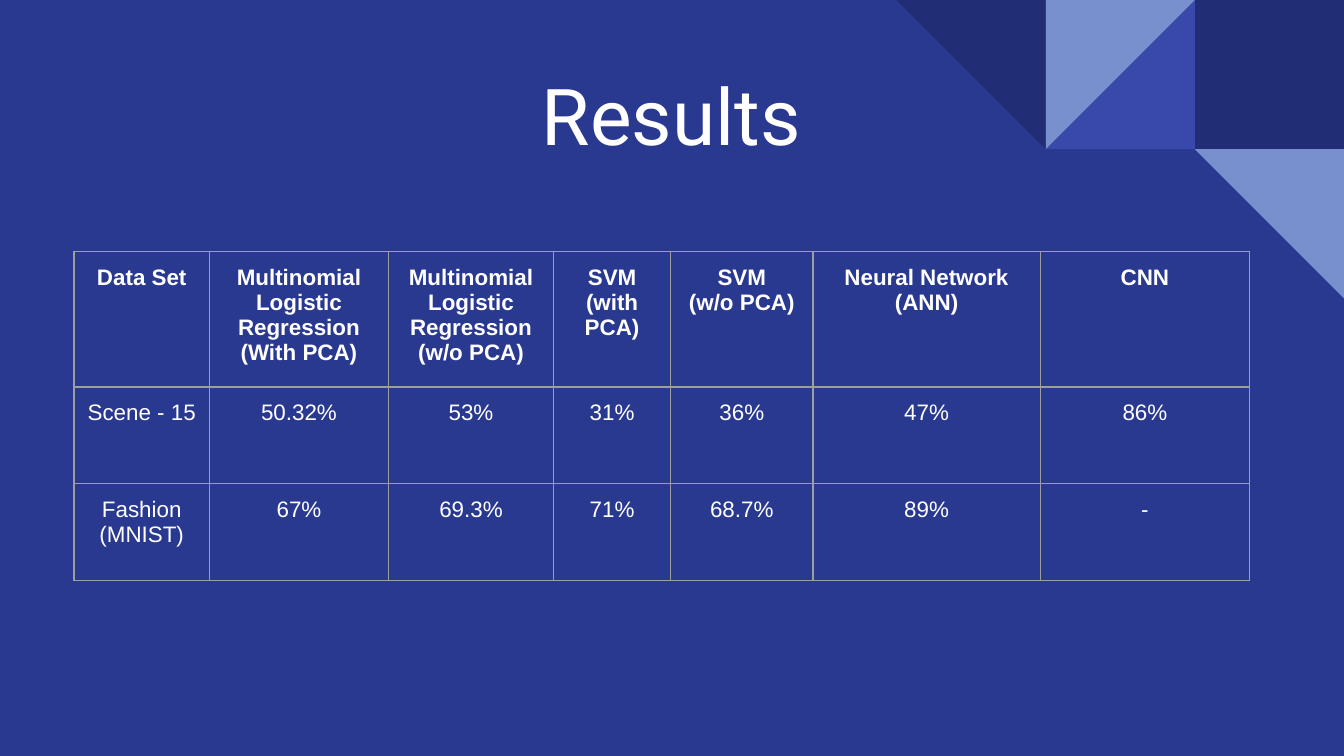
from lxml import etree
from pptx import Presentation
from pptx.dml.color import RGBColor
from pptx.enum.shapes import MSO_SHAPE
from pptx.enum.text import MSO_ANCHOR, PP_ALIGN
from pptx.oxml.ns import qn
from pptx.util import Inches, Pt

SQUARE = MSO_SHAPE.RECTANGLE
TRIANGLE = MSO_SHAPE.RIGHT_TRIANGLE
CENTER = PP_ALIGN.CENTER
MIDDLE = MSO_ANCHOR.MIDDLE
TOP = MSO_ANCHOR.TOP
TITLE_ONLY = 5

COLORS = {
    "background": "2A3990",
    "navy": "212D74",
    "indigo": "3949AB",
    "sky": "7890CD",
    "border": "9E9E9E",
    "text": "FFFFFF",
}

MOSAIC = [
    (2, 0, SQUARE, 0, "navy"),
    (1, 0, TRIANGLE, 270, "indigo"),
    (1, 0, TRIANGLE, 90, "sky"),
    (0, 0, TRIANGLE, 180, "navy"),
    (2, 1, TRIANGLE, 180, "sky"),
]

COLUMN_WIDTHS = [1.01, 1.33, 1.23, 0.87, 1.06, 1.69, 1.56]
ROW_HEIGHTS = [1.01, 0.72, 0.72]
RESULTS = [
    ["Data Set", "Multinomial Logistic Regression\n(With PCA)",
     "Multinomial Logistic Regression\n(w/o PCA)", "SVM\n(with PCA)",
     "SVM\n(w/o PCA)", "Neural Network\n(ANN)", "CNN"],
    ["Scene - 15", "50.32%", "53%", "31%", "36%", "47%", "86%"],
    ["Fashion\n(MNIST)", "67%", "69.3%", "71%", "68.7%", "89%", "-"],
]


def color(name):
    """Return the named palette colour."""
    return RGBColor.from_string(COLORS[name])


def format_text(frame, font, size, bold=False):
    """Centre the paragraphs of a text frame and format their runs."""
    for para in frame.paragraphs:
        para.alignment = CENTER
        for span in para.runs:
            span.font.name = font
            span.font.size = Pt(size)
            span.font.bold = bold
            span.font.color.rgb = color("text")


def set_borders(cell, name, width):
    """Draw a solid line on all four sides of a table cell."""
    properties = cell._tc.get_or_add_tcPr()
    for side in ("a:lnL", "a:lnR", "a:lnT", "a:lnB"):
        line = etree.SubElement(properties, qn(side), w=str(Pt(width)))
        fill = etree.SubElement(line, qn("a:solidFill"))
        etree.SubElement(fill, qn("a:srgbClr"), val=COLORS[name])


def add_mosaic(page, left, top, size):
    """Place the corner mosaic on a grid of squares of the given size."""
    for column, row, kind, rotation, name in MOSAIC:
        tile = page.shapes.add_shape(
            kind, Inches(left + column * size), Inches(top + row * size),
            Inches(size), Inches(size))
        tile.rotation = rotation
        tile.shadow.inherit = False
        tile.fill.solid()
        tile.fill.fore_color.rgb = color(name)
        tile.line.fill.background()


def add_title(page, text, left, top, width, height):
    """Move the title placeholder into its box and format it."""
    title = page.shapes.title
    title.left, title.top = Inches(left), Inches(top)
    title.width, title.height = Inches(width), Inches(height)
    frame = title.text_frame
    frame.text = text
    frame.word_wrap = True
    frame.vertical_anchor = MIDDLE
    frame.margin_left = frame.margin_right = Inches(0.1)
    frame.margin_top = frame.margin_bottom = Inches(0.1)
    format_text(frame, "Roboto", 42)


def add_results_table(page, left, top):
    """Place the accuracy table with its top left corner at the given point."""
    table = page.shapes.add_table(
        len(ROW_HEIGHTS), len(COLUMN_WIDTHS), Inches(left), Inches(top),
        Inches(sum(COLUMN_WIDTHS)), Inches(sum(ROW_HEIGHTS))).table
    table.first_row = False
    table.horz_banding = False
    for column, width in zip(table.columns, COLUMN_WIDTHS):
        column.width = Inches(width)
    for index, (row, height) in enumerate(zip(table.rows, ROW_HEIGHTS)):
        row.height = Inches(height)
        for cell, text in zip(row.cells, RESULTS[index]):
            cell.text_frame.text = text
            cell.vertical_anchor = TOP
            cell.margin_left = cell.margin_right = Inches(0.1)
            cell.margin_top = cell.margin_bottom = Inches(0.1)
            format_text(cell.text_frame, "Arial", 12, bold=index == 0)
            set_borders(cell, "border", 0.75)
            cell.fill.background()


def build_results_slide(deck):
    """Add the results slide to the deck."""
    page = deck.slides.add_slide(deck.slide_layouts[TITLE_ONLY])
    page.background.fill.solid()
    page.background.fill.fore_color.rgb = color("background")
    add_mosaic(page, 6.67, 0, 1.11)
    add_title(page, "Results", 0.5, 0.39, 8.99, 0.92)
    add_results_table(page, 0.55, 1.87)


def main():
    """Build and save a deck with 16:9 pages."""
    deck = Presentation()
    deck.slide_width = Inches(10)
    deck.slide_height = deck.slide_width * 9 // 16
    build_results_slide(deck)
    deck.save("out.pptx")


if __name__ == "__main__":
    main()
